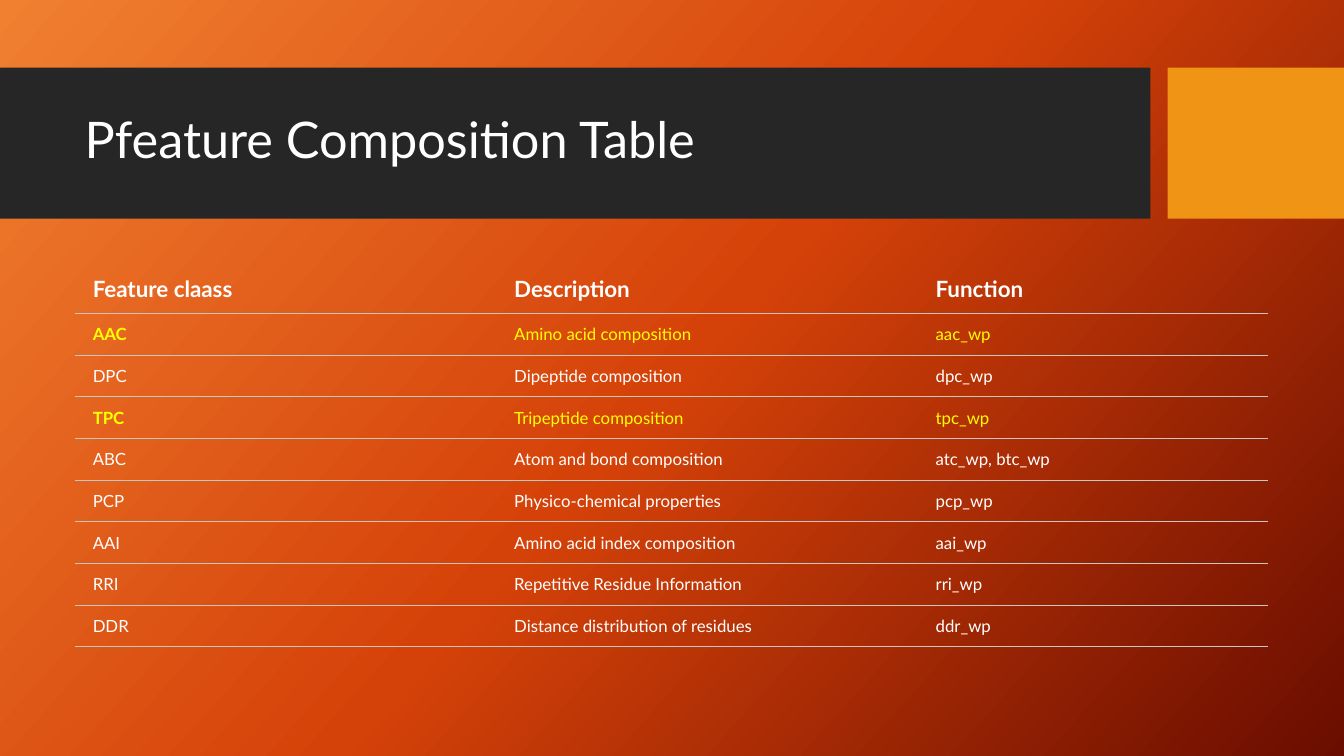
from copy import deepcopy
from dataclasses import dataclass

from lxml.etree import SubElement
from pptx import Presentation
from pptx.dml.color import RGBColor
from pptx.enum.shapes import MSO_SHAPE
from pptx.enum.text import MSO_ANCHOR
from pptx.oxml.ns import qn
from pptx.util import Inches, Pt


@dataclass(frozen=True)
class Theme:
    font: str = "Lato"
    white: str = "FFFFFF"
    highlight: str = "FFFF00"
    band: str = "262626"
    accent: str = "F09415"
    rule: str = "C7C6C1"
    backdrop: tuple = ((0, "F18031"), (0.5, "D54209"), (1, "6A0D00"))
    title_size: int = 36
    header_size: int = 16
    body_size: int = 12
    rule_width: float = 0.75


THEME = Theme()
NO_STYLE = "{2D5ABB26-0587-4C30-8999-92F81FD0307C}"

HEADER = ("Feature claass", "Description", "Function")
FEATURES = (
    ("AAC", "Amino acid composition", "aac_wp"),
    ("DPC", "Dipeptide composition", "dpc_wp"),
    ("TPC", "Tripeptide composition", "tpc_wp"),
    ("ABC", "Atom and bond composition", "atc_wp, btc_wp"),
    ("PCP", "Physico-chemical properties", "pcp_wp"),
    ("AAI", "Amino acid index composition", "aai_wp"),
    ("RRI", "Repetitive Residue Information", "rri_wp"),
    ("DDR", "Distance distribution of residues", "ddr_wp"),
)
HIGHLIGHTED = ("AAC", "TPC")


def add_run(p, text, size, color, bold=False):
    r = p.add_run()
    r.text = text
    r.font.name = THEME.font
    r.font.size = Pt(size)
    r.font.bold = bold
    r.font.color.rgb = RGBColor.from_string(color)


def paint_background(s):
    fill = s.background.fill
    fill.gradient()
    fill.gradient_angle = 360 - 42  # counter-clockwise
    stops = s.element.find(f".//{qn('a:gsLst')}")
    stops.append(deepcopy(stops[0]))
    for stop, (position, color) in zip(fill.gradient_stops, THEME.backdrop):
        stop.position = position
        stop.color.rgb = RGBColor.from_string(color)


def add_block(s, left, top, width, height, color):
    sp = s.shapes.add_shape(MSO_SHAPE.RECTANGLE, Inches(left), Inches(top),
                            Inches(width), Inches(height))
    sp.shadow.inherit = False
    sp.fill.solid()
    sp.fill.fore_color.rgb = RGBColor.from_string(color)
    sp.line.fill.background()


def add_title_band(s, left, top, width, height, title):
    """Dark title band with an accent block at its right end."""
    accent_width, gap = 1.75, 0.17
    band_width = width - accent_width - gap
    add_block(s, left, top, band_width, height, THEME.band)
    add_block(s, left + width - accent_width, top, accent_width, height, THEME.accent)

    sp = s.shapes.add_textbox(Inches(left + 0.74), Inches(top + 0.15),
                              Inches(band_width - 0.9), Inches(height - 0.32))
    tf = sp.text_frame
    tf.word_wrap = True
    tf.vertical_anchor = MSO_ANCHOR.MIDDLE
    p = tf.paragraphs[0]
    p.line_spacing = 0.9
    add_run(p, title, THEME.title_size, THEME.white)


def underline_cell(cell):
    tc_pr = cell._tc.get_or_add_tcPr()
    ln = SubElement(tc_pr, qn("a:lnB"), w=str(Pt(THEME.rule_width)))
    SubElement(SubElement(ln, qn("a:solidFill")), qn("a:srgbClr"), val=THEME.rule)


def fill_cell(cell, text, size, color, bold):
    cell.margin_left, cell.margin_right = Inches(0.18), Inches(0.14)
    cell.margin_top = cell.margin_bottom = Inches(0.09)
    cell.vertical_anchor = MSO_ANCHOR.MIDDLE
    underline_cell(cell)
    cell.fill.background()
    add_run(cell.text_frame.paragraphs[0], text, size, color, bold)


def add_feature_table(s, left, top, width, height):
    header_height, wide_column = 0.49, 4.18
    row_height = (height - header_height) / len(FEATURES)
    table = s.shapes.add_table(len(FEATURES) + 1, len(HEADER), Inches(left),
                               Inches(top), Inches(width), Inches(height)).table
    table.first_row = True
    table.horz_banding = False
    table._tbl.tblPr.find(qn("a:tableStyleId")).text = NO_STYLE

    for column, w in zip(table.columns, (wide_column, wide_column, width - 2 * wide_column)):
        column.width = Inches(w)
    for i, texts in enumerate((HEADER, *FEATURES)):
        is_header = i == 0
        is_marked = texts[0] in HIGHLIGHTED
        table.rows[i].height = Inches(header_height if is_header else row_height)
        size = THEME.header_size if is_header else THEME.body_size
        color = THEME.highlight if is_marked else THEME.white
        for j, text in enumerate(texts):
            bold = is_header or (is_marked and j == 0)
            fill_cell(table.cell(i, j), text, size, color, bold)


def main():
    prs = Presentation()
    prs.slide_width, prs.slide_height = Inches(13.33), Inches(7.5)
    s = prs.slides.add_slide(prs.slide_layouts[6])
    paint_background(s)
    add_title_band(s, 0, 0.67, 13.33, 1.5, "Pfeature Composition Table")
    add_feature_table(s, 0.74, 2.62, 11.84, 3.8)
    prs.save("out.pptx")


if __name__ == "__main__":
    main()
